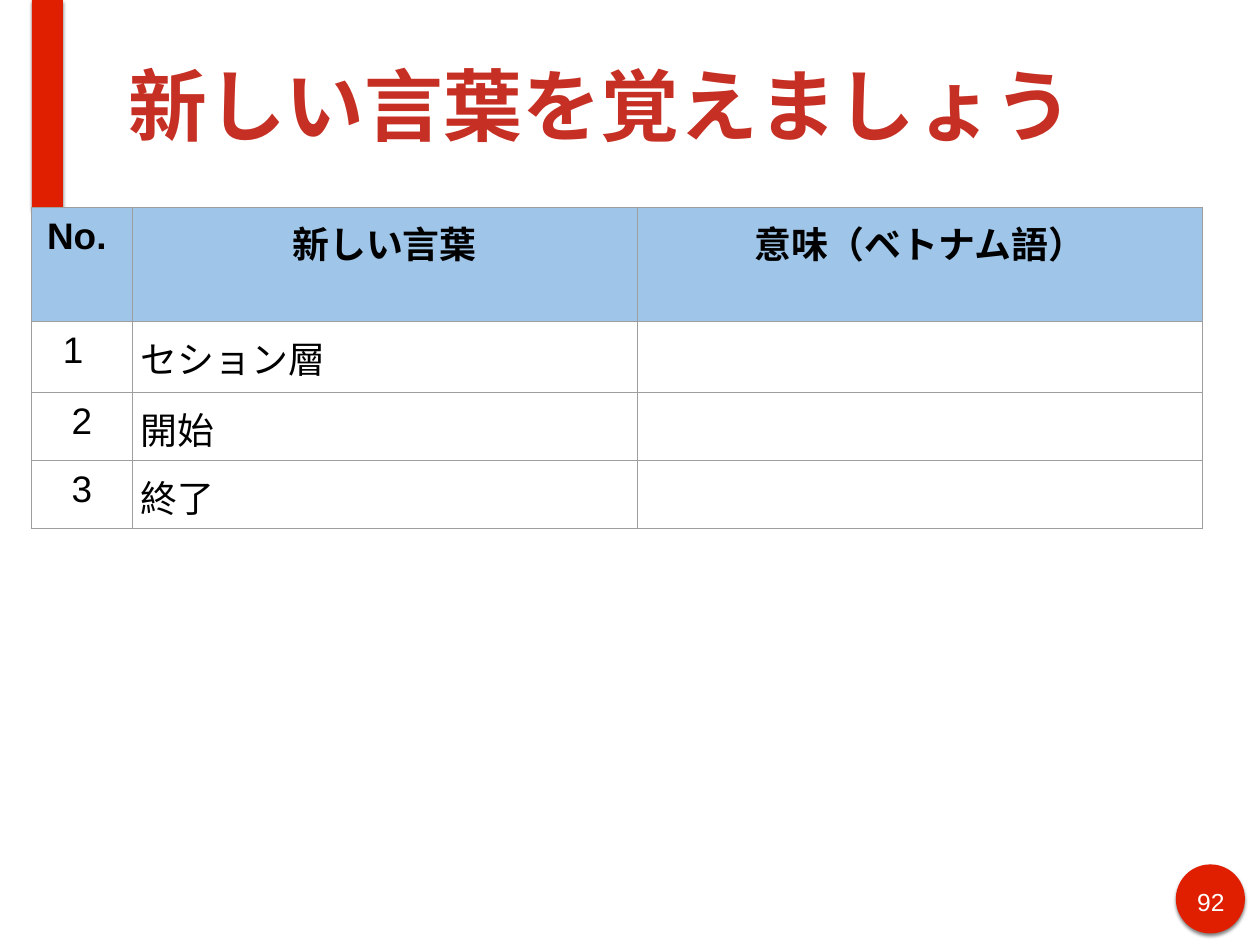
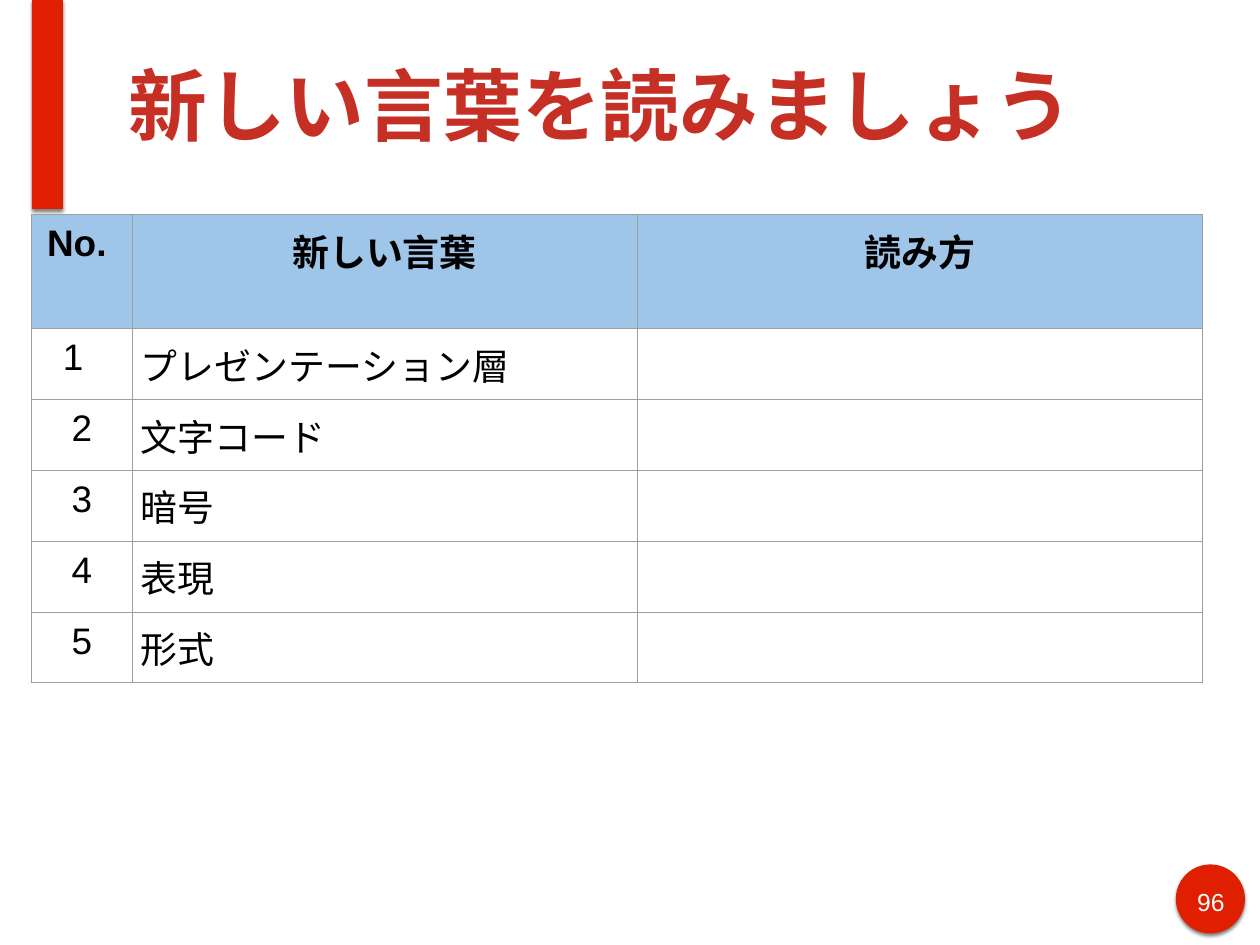
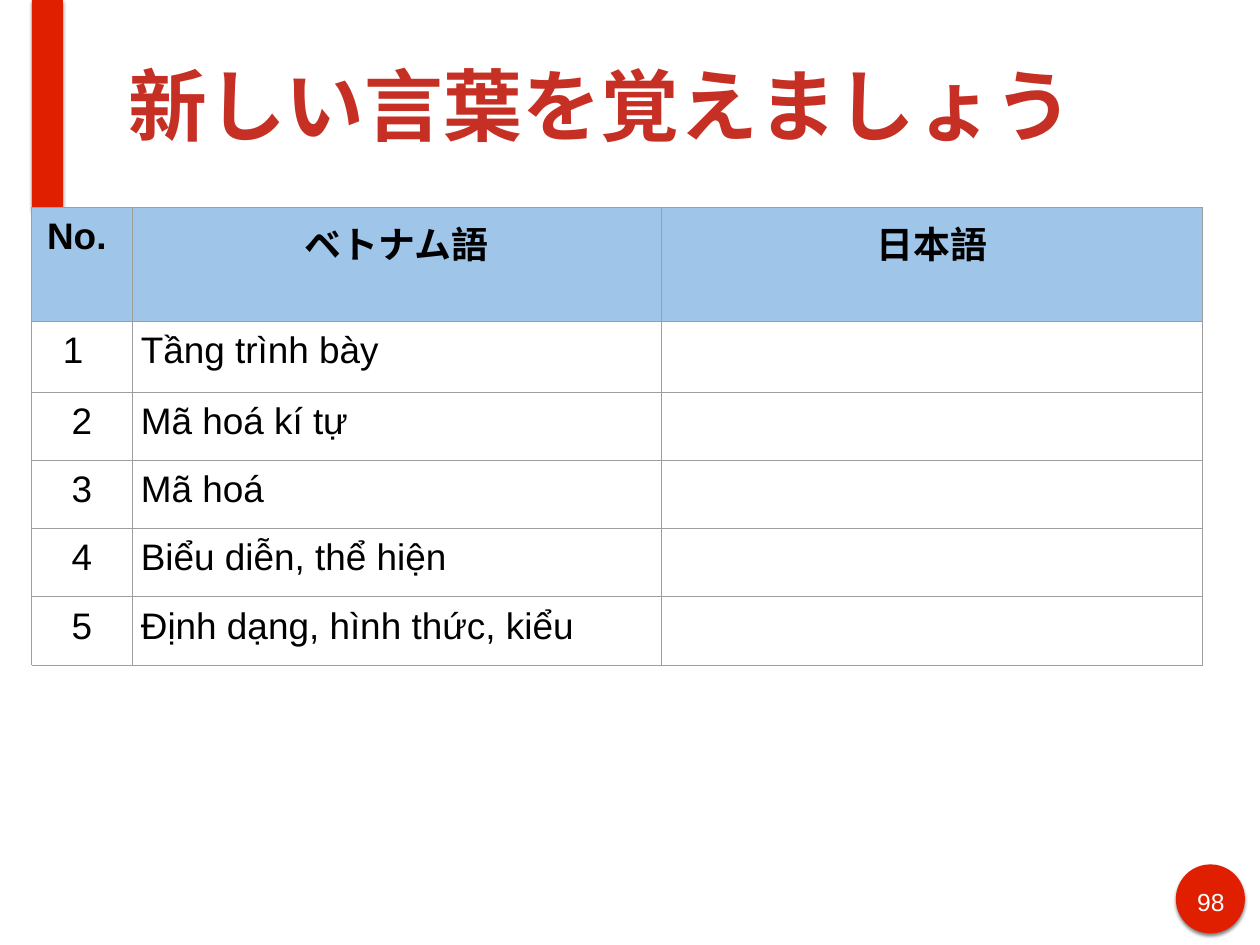
import pptx
import pptx.dml.color
import pptx.enum.shapes
import pptx.enum.text
import pptx.oxml
import pptx.oxml.ns
import pptx.util

EMU_PER_PX = 9144  # 100 px to the inch
COLORS = {
    "accent": "DF1F00",
    "title": "C63024",
    "header": "9FC5E8",
    "border": "9E9E9E",
    "text": "000000",
    "white": "FFFFFF",
}
ALIGN = pptx.enum.text.PP_ALIGN
ANCHOR = pptx.enum.text.MSO_ANCHOR
SHAPES = pptx.enum.shapes.MSO_SHAPE
NAMESPACE = pptx.oxml.ns.nsdecls("a")


def px(length):
    return pptx.util.Emu(length * EMU_PER_PX)


def rgb(name):
    return pptx.dml.color.RGBColor.from_string(COLORS[name])


class VocabularyDeck:
    """Holds the shared style and the slide being built."""

    font = "Arial"
    table_left, table_width = 36, 1321
    number_width = 113
    header_height, first_height = 129, 80

    def __init__(self):
        self.deck = pptx.Presentation()
        self.deck.slide_width = px(1422)
        self.deck.slide_height = px(1067)
        self.slide = None

    def add_slide(self, title, number):
        self.slide = self.deck.slides.add_slide(self.deck.slide_layouts[5])
        self.title(title)
        self.accent_shape(SHAPES.OVAL, 1327, 976, 78, 78)
        self.accent_shape(SHAPES.RECTANGLE, 36, 0, 35, 236)
        self.page_number(number)

    def add_span(self, para, text, size, color, bold=False):
        span = para.add_run()
        span.text = text
        span.font.name = self.font
        span.font.size = pptx.util.Pt(size)
        span.font.bold = bold
        span.font.color.rgb = rgb(color)

    def frame(self, box, margin, anchor):
        """Set wrapping, equal margins and anchor; return the text frame."""
        frame = box.text_frame
        frame.word_wrap = True
        frame.auto_size = pptx.enum.text.MSO_AUTO_SIZE.NONE
        frame.vertical_anchor = anchor
        frame.margin_left = frame.margin_right = px(margin)
        frame.margin_top = frame.margin_bottom = px(margin)
        return frame

    def title(self, text):
        box = self.slide.shapes.title
        box.left, box.top, box.width, box.height = map(px, (139, 12, 1214, 212))
        para = self.frame(box, 6, ANCHOR.MIDDLE).paragraphs[0]
        para.alignment = ALIGN.LEFT
        self.add_span(para, text, 64, "title", bold=True)

    def accent_shape(self, kind, *bounds):
        shape = self.slide.shapes.add_shape(kind, *map(px, bounds))
        shape.fill.solid()
        shape.fill.fore_color.rgb = rgb("accent")
        shape.line.fill.background()
        shape.shadow.inherit = False
        effects = shape._element.spPr.find(pptx.oxml.ns.qn("a:effectLst"))
        effects.append(pptx.oxml.parse_xml(
            f'<a:outerShdw {NAMESPACE} blurRad="38100" dist="25400" dir="5400000" '
            f'rotWithShape="0"><a:srgbClr val="{COLORS["text"]}">'
            '<a:alpha val="50000"/></a:srgbClr></a:outerShdw>'))

    def page_number(self, number):
        box = self.slide.shapes.add_textbox(*map(px, (1342, 995, 49, 39)))
        para = self.frame(box, 6, ANCHOR.TOP).paragraphs[0]
        para.alignment = ALIGN.CENTER
        self.add_span(para, str(number), 20, "white")

    def cell(self, cell, text, header, alignment):
        cell.margin_left = cell.margin_right = cell.margin_top = px(10)
        cell.margin_bottom = px(5)
        properties = cell._tc.get_or_add_tcPr()
        for side in ("lnL", "lnR", "lnT", "lnB"):
            properties.append(pptx.oxml.parse_xml(
                f'<a:{side} {NAMESPACE} w="9525"><a:solidFill>'
                f'<a:srgbClr val="{COLORS["border"]}"/></a:solidFill></a:{side}>'))
        if header:
            cell.fill.solid()
            cell.fill.fore_color.rgb = rgb("header")
        else:
            cell.fill.background()
        para = cell.text_frame.paragraphs[0]
        para.alignment = alignment
        if text:
            self.add_span(para, text, 30, "text", bold=header)
        return para

    def word_table(self, top, headings, words, word_width=570, row_height=77):
        """Draw numbered words beside an empty column for the answers."""
        rows = [("No. ", *headings)]
        rows += [(str(number), word, "") for number, word in enumerate(words, 1)]
        heights = [self.header_height, self.first_height]
        heights += [row_height] * (len(words) - 1)
        answer_width = self.table_width - self.number_width - word_width
        widths = (self.number_width, word_width, answer_width)
        table = self.slide.shapes.add_table(
            len(rows), len(widths), px(self.table_left), px(top),
            px(self.table_width), px(sum(heights))).table
        table.first_row = table.horz_banding = False
        for column, width in zip(table.columns, widths):
            column.width = px(width)
        for row, height in zip(table.rows, heights):
            row.height = px(height)
        for i, texts in enumerate(rows):
            for j, text in enumerate(texts):
                hanging = (i, j) == (1, 0)
                centred = (i == 0 or j == 0) and not hanging
                para = self.cell(table.cell(i, j), text, i == 0,
                                 ALIGN.CENTER if centred else ALIGN.LEFT)
                if hanging:
                    properties = para._p.get_or_add_pPr()
                    properties.set("marL", str(px(50)))
                    properties.set("indent", str(px(-25)))


def main():
    lesson = VocabularyDeck()

    lesson.add_slide("新しい言葉を覚えましょう", 92)
    lesson.word_table(234, ("新しい言葉", "意味（ベトナム語）"),
                      ("セション層", "開始", "終了"))

    lesson.add_slide("新しい言葉を読みましょう", 96)
    lesson.word_table(242, ("新しい言葉", "読み方"),
                      ("プレゼンテーション層", "文字コード", "暗号", "表現", "形式"),
                      row_height=80)

    lesson.add_slide("新しい言葉を覚えましょう", 98)
    lesson.word_table(234, ("ベトナム語", "日本語"),
                      ("Tầng trình bày", "Mã hoá kí tự", "Mã hoá",
                       "Biểu diễn, thể hiện", "Định dạng, hình thức, kiểu"),
                      word_width=597)

    lesson.deck.save("out.pptx")


if __name__ == "__main__":
    main()
